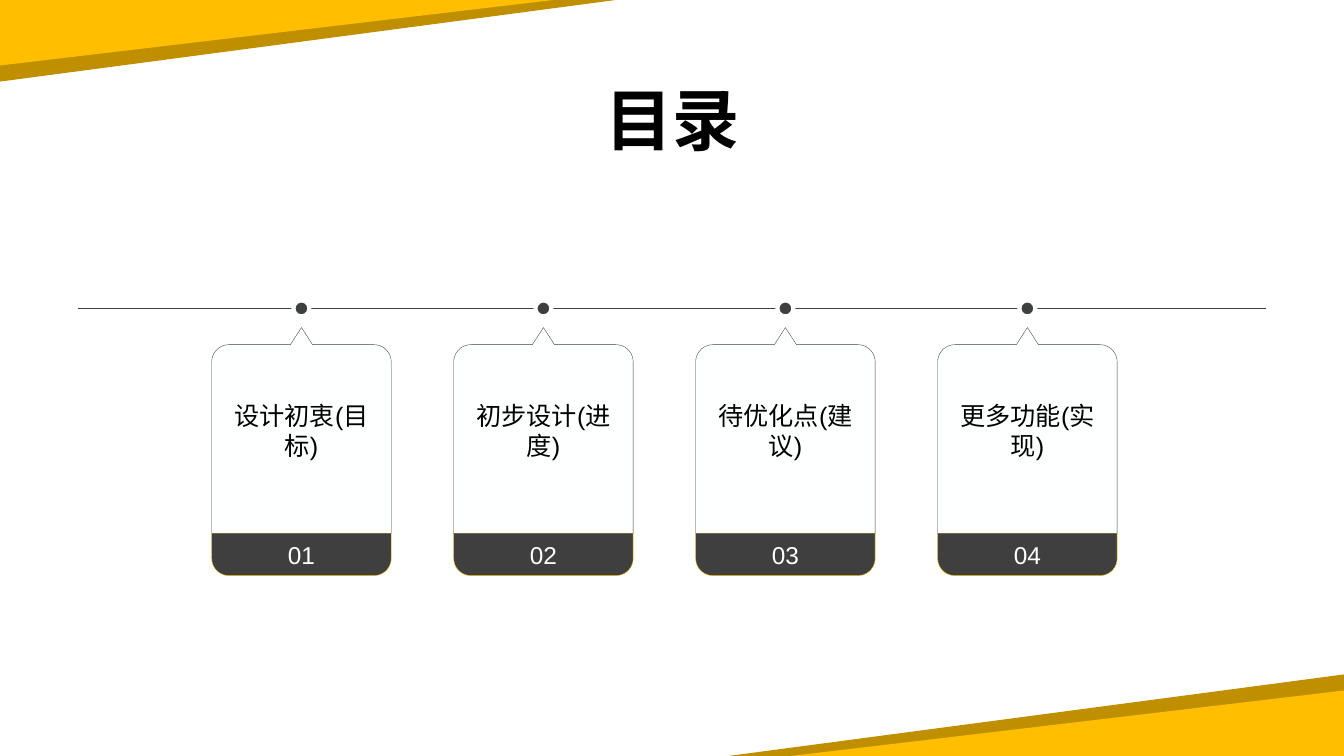
"""Build a contents slide with four numbered cards on a timeline."""
from math import cos, radians, sin

from lxml import etree
from pptx import Presentation
from pptx.dml.color import RGBColor
from pptx.enum.shapes import MSO_CONNECTOR, MSO_SHAPE
from pptx.enum.text import MSO_ANCHOR, PP_ALIGN
from pptx.oxml.ns import qn
from pptx.util import Inches, Pt

TRIANGLE, OVAL = MSO_SHAPE.RIGHT_TRIANGLE, MSO_SHAPE.OVAL
STRAIGHT = MSO_CONNECTOR.STRAIGHT
CENTER, MIDDLE = PP_ALIGN.CENTER, MSO_ANCHOR.MIDDLE

TITLE = "目录"
CARDS = ["设计初衷(目标)", "初步设计(进度)", "待优化点(建议)", "更多功能(实现)"]
WEDGES = [(6.11, 0.81, "BF8F00"), (5.49, 0.65, "FFBF00")]
DARK, GOLD, WHITE, OFF_WHITE, BLACK = "3F3F3F", "FFBF00", "FFFFFF", "FEFFFF", "000000"

SLIDE_WIDTH, SLIDE_HEIGHT = 13.33, 7.5
LINE_Y, LINE_LEFT, LINE_RIGHT = 3.06, 0.77, 12.56
FIRST_CENTER, PITCH = 2.99, 2.4
HALF_WIDTH, RADIUS, DOT = 0.89, 0.17, 0.16
TIP_Y, CARD_TOP, CARD_SPLIT, CARD_BOTTOM = 3.25, 3.42, 5.29, 5.71
TIP_HALF = 0.11


def color(value):
    return RGBColor.from_string(value)


def paint(shape, fill, line=None, line_width=0.25):
    shape.shadow.inherit = False
    shape.fill.solid()
    shape.fill.fore_color.rgb = color(fill)
    if line:
        shape.line.color.rgb = color(line)
        shape.line.width = Pt(line_width)
    else:
        shape.line.fill.background()


def write(shape, text, size, text_color=BLACK, bold=False, spacing=None):
    frame = shape.text_frame
    frame.word_wrap = True
    frame.vertical_anchor = MIDDLE
    paragraph = frame.paragraphs[0]
    paragraph.alignment = CENTER
    paragraph.line_spacing = spacing
    run = paragraph.add_run()
    run.text = text
    run.font.name = "Arial"
    run.font.size = Pt(size)
    run.font.bold = bold
    run.font.color.rgb = color(text_color)


def corner(x, y, start):
    angles = [radians(start + step) for step in range(0, 91, 10)]
    return [(x + RADIUS * cos(angle), y + RADIUS * sin(angle)) for angle in angles]


def add_outline(slide, points):
    first, *others = [(Inches(x), Inches(y)) for x, y in points]
    builder = slide.shapes.build_freeform(*first)
    builder.add_line_segments(others, close=True)
    return builder.convert_to_shape()


def add_wedge(slide, width, height, fill, at_bottom):
    left = SLIDE_WIDTH - width if at_bottom else 0
    top = SLIDE_HEIGHT - height if at_bottom else 0
    wedge = slide.shapes.add_shape(
        TRIANGLE, Inches(left), Inches(top), Inches(width), Inches(height))
    wedge._element.spPr.get_or_add_xfrm().set("flipV", "1")
    wedge.rotation = 180 if at_bottom else 0
    paint(wedge, fill)


def add_timeline(slide):
    line = slide.shapes.add_connector(
        STRAIGHT, Inches(LINE_LEFT), Inches(LINE_Y), Inches(LINE_RIGHT), Inches(LINE_Y))
    line.line.color.rgb = color(DARK)
    line.line.width = Pt(0.5)
    etree.SubElement(line._element.spPr, qn("a:effectLst"))


def add_card(slide, center, number, text):
    left, right = center - HALF_WIDTH, center + HALF_WIDTH
    inner_left, inner_right = left + RADIUS, right - RADIUS

    footer = add_outline(slide, [
        (left, CARD_SPLIT), (right, CARD_SPLIT),
        *corner(inner_right, CARD_BOTTOM - RADIUS, 0),
        *corner(inner_left, CARD_BOTTOM - RADIUS, 90)])
    paint(footer, DARK, line=GOLD)
    write(footer, f"{number:02d}", 17.4, text_color=WHITE)

    body = add_outline(slide, [
        (center, TIP_Y), (center + TIP_HALF, CARD_TOP),
        *corner(inner_right, CARD_TOP + RADIUS, 270),
        (right, CARD_SPLIT), (left, CARD_SPLIT),
        *corner(inner_left, CARD_TOP + RADIUS, 180),
        (center - TIP_HALF, CARD_TOP)])
    paint(body, OFF_WHITE, line=DARK)
    write(body, text, 18)

    dot = slide.shapes.add_shape(
        OVAL, Inches(center - DOT / 2), Inches(LINE_Y - DOT / 2), Inches(DOT), Inches(DOT))
    paint(dot, DARK, line=OFF_WHITE, line_width=3)


def main():
    presentation = Presentation()
    presentation.slide_width = Inches(SLIDE_WIDTH)
    presentation.slide_height = Inches(SLIDE_HEIGHT)
    slide = presentation.slides.add_slide(presentation.slide_layouts[5])

    for at_bottom in (True, False):
        for width, height, fill in WEDGES:
            add_wedge(slide, width, height, fill, at_bottom)

    add_timeline(slide)
    for index, text in enumerate(CARDS):
        add_card(slide, FIRST_CENTER + index * PITCH, index + 1, text)

    title = slide.shapes.title
    title.left, title.top = Inches(0.92), Inches(0.67)
    title.width, title.height = Inches(11.5), Inches(1.11)
    write(title, TITLE, 48, bold=True, spacing=0.9)

    presentation.save("out.pptx")


if __name__ == "__main__":
    main()
